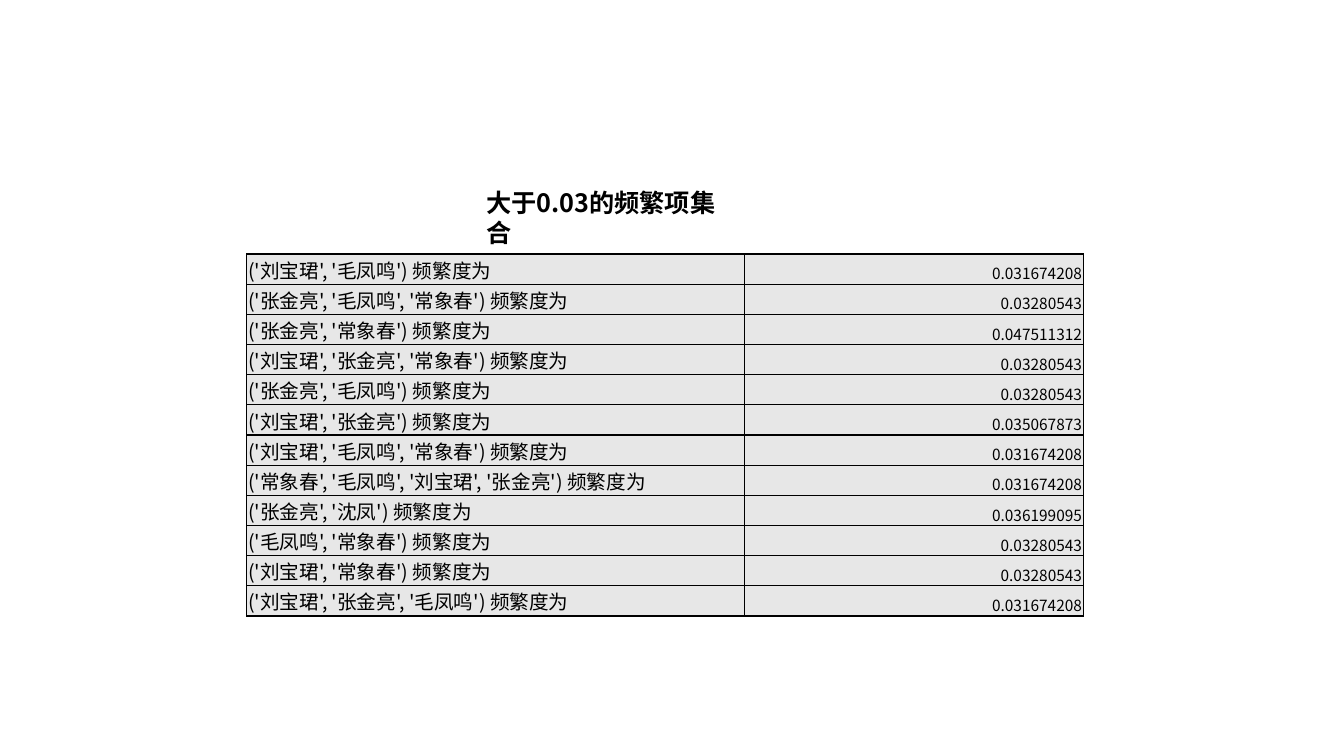
import pptx
import pptx.dml.color
import pptx.enum.text
import pptx.oxml
import pptx.oxml.ns
import pptx.util
from pptx.util import Cm

COLORS = {"text": "000000", "border": "000000", "cell": "E7E7E7"}
ALIGN = pptx.enum.text.PP_ALIGN
ANCHOR = pptx.enum.text.MSO_ANCHOR

TITLE = "大于0.03的频繁项集合"
ITEMSETS = [
    ("('刘宝珺', '毛凤鸣')", "0.031674208"),
    ("('张金亮', '毛凤鸣', '常象春')", "0.03280543"),
    ("('张金亮', '常象春')", "0.047511312"),
    ("('刘宝珺', '张金亮', '常象春')", "0.03280543"),
    ("('张金亮', '毛凤鸣')", "0.03280543"),
    ("('刘宝珺', '张金亮')", "0.035067873"),
    ("('刘宝珺', '毛凤鸣', '常象春')", "0.031674208"),
    ("('常象春', '毛凤鸣', '刘宝珺', '张金亮')", "0.031674208"),
    ("('张金亮', '沈凤')", "0.036199095"),
    ("('毛凤鸣', '常象春')", "0.03280543"),
    ("('刘宝珺', '常象春')", "0.03280543"),
    ("('刘宝珺', '张金亮', '毛凤鸣')", "0.031674208"),
]


def rgb(name):
    return pptx.dml.color.RGBColor.from_string(COLORS[name])


class SlideBuilder:
    font = "Noto Sans CJK SC"
    border = pptx.util.Pt(1)

    def __init__(self, s):
        self.s = s

    def put_text(self, tf, text, size, bold=False, align=ALIGN.LEFT):
        p = tf.paragraphs[0]
        r = p.add_run()
        r.text = text
        p.alignment = align
        p.font.size = pptx.util.Pt(size)
        p.font.bold = bold
        p.font.color.rgb = rgb("text")
        p.font.name = r.font.name = self.font
        # Chinese characters take the East Asian typeface
        r._r.get_or_add_rPr().append(pptx.oxml.parse_xml(
            f'<a:ea {pptx.oxml.ns.nsdecls("a")} typeface="{self.font}"/>'))

    def title(self, text, x, y, w, h):
        tf = self.s.shapes.add_textbox(x, y, w, h).text_frame
        tf.word_wrap = True
        self.put_text(tf, text, 18, bold=True)

    def cell(self, cell, text, size, anchor, align):
        cell.fill.solid()
        cell.fill.fore_color.rgb = rgb("cell")
        cell.margin_left = cell.margin_right = cell.margin_top = Cm(0.03)
        cell.margin_bottom = 0
        cell.vertical_anchor = anchor
        self.put_text(cell.text_frame, text, size, align=align)
        # Borders go before the fill
        for i, side in enumerate(("lnL", "lnR", "lnT", "lnB")):
            line = pptx.oxml.parse_xml(
                f'<a:{side} {pptx.oxml.ns.nsdecls("a")} w="{int(self.border)}">'
                f'<a:solidFill><a:srgbClr val="{COLORS["border"]}"/></a:solidFill>'
                f'</a:{side}>')
            cell._tc.get_or_add_tcPr().insert(i, line)

    def table(self, rows, x, y, widths, row_height):
        table = self.s.shapes.add_table(
            len(rows), len(widths), x, y, sum(widths), row_height * len(rows)).table
        table.first_row = table.horz_banding = False
        for column, width in zip(table.columns, widths):
            column.width = width
        for i, (itemset, support) in enumerate(rows):
            table.rows[i].height = row_height
            self.cell(table.cell(i, 0), f"{itemset} 频繁度为", 14,
                      ANCHOR.MIDDLE, ALIGN.LEFT)
            self.cell(table.cell(i, 1), support, 11, ANCHOR.BOTTOM, ALIGN.RIGHT)


def main():
    prs = pptx.Presentation()
    prs.slide_width, prs.slide_height = Cm(33.87), Cm(19.05)
    builder = SlideBuilder(prs.slides.add_slide(prs.slide_layouts[6]))

    # Frequent itemsets and their support
    builder.table(ITEMSETS, Cm(6.22), Cm(6.4), (Cm(12.55), Cm(8.53)), Cm(0.76))

    # Heading above the table
    builder.title(TITLE, Cm(12), Cm(4.6), Cm(6.86), Cm(1.02))

    prs.save("out.pptx")


if __name__ == "__main__":
    main()
